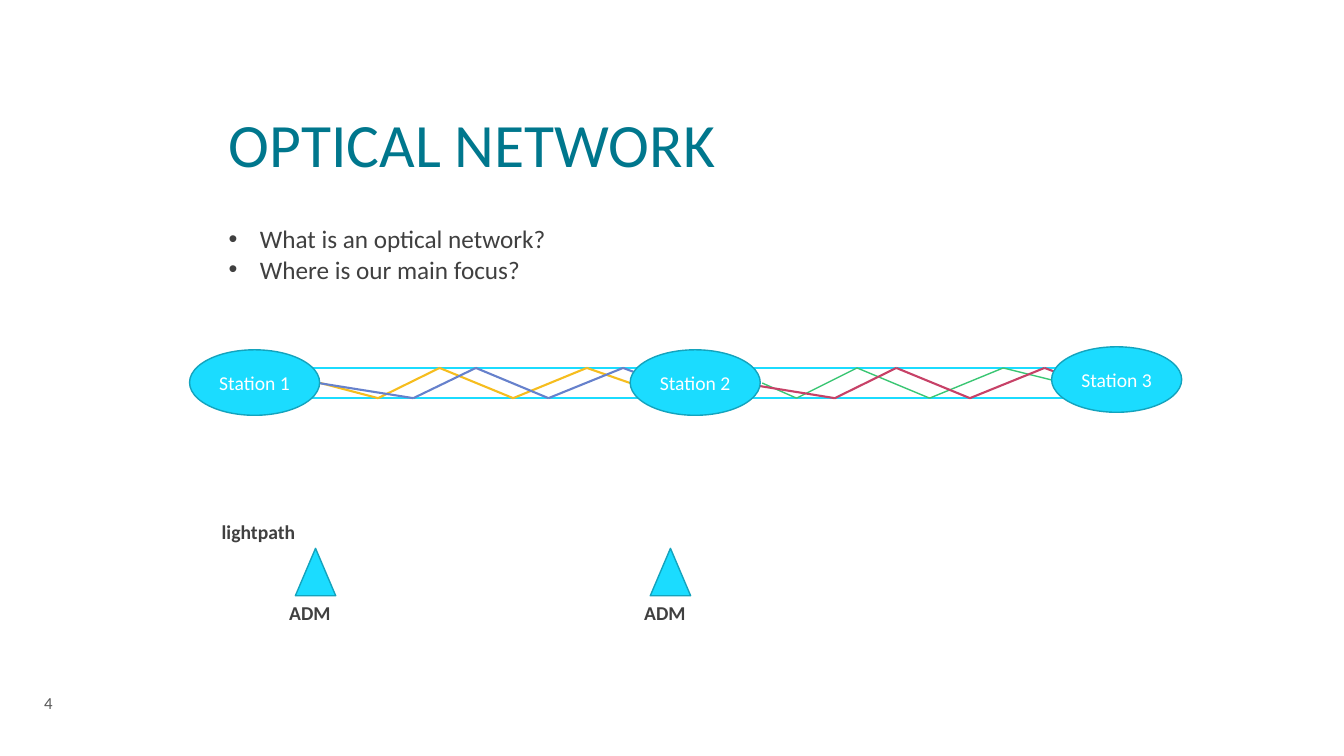
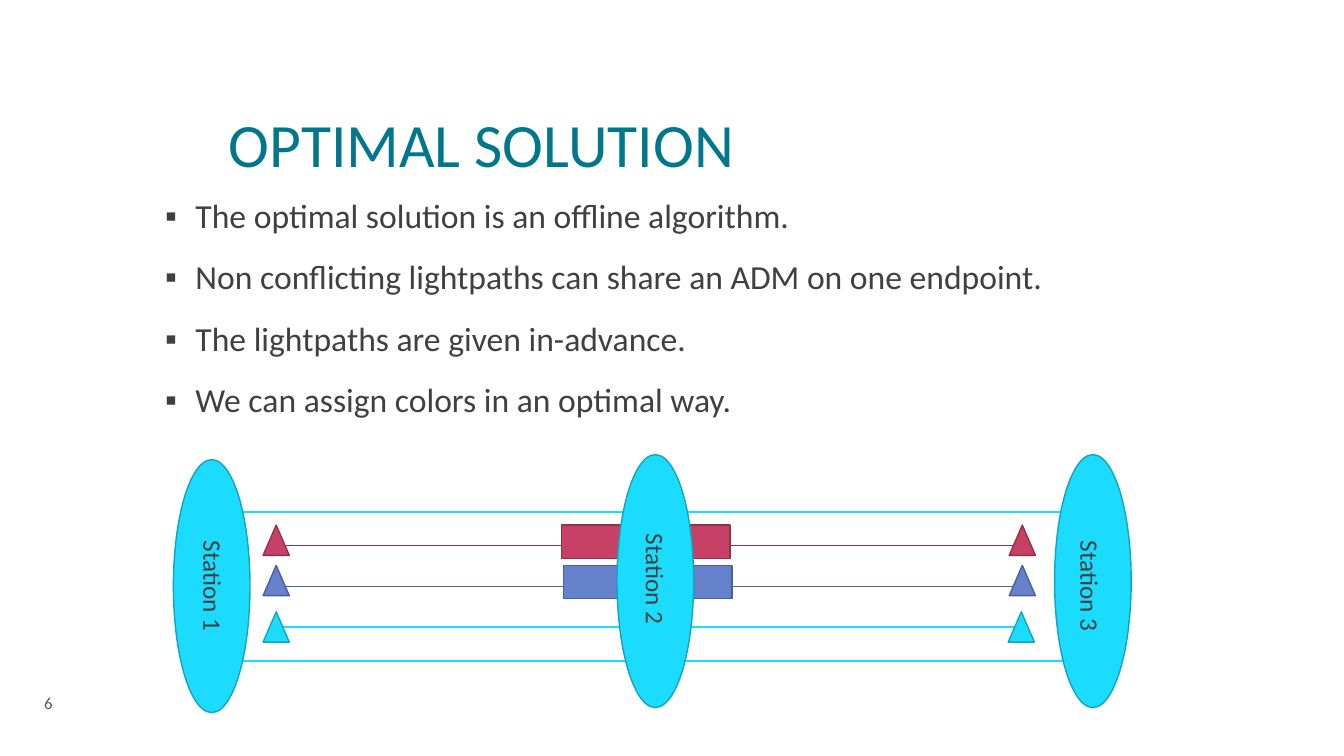
from itertools import pairwise

from lxml.etree import SubElement
from pptx import Presentation
from pptx.dml.color import RGBColor
from pptx.enum.shapes import MSO_CONNECTOR, MSO_SHAPE
from pptx.enum.text import MSO_ANCHOR, PP_ALIGN
from pptx.oxml.ns import qn
from pptx.util import Inches, Pt

FONT = "Calibri"
COLORS = {
    "title": "00778D", "text": "404040", "number": "595959", "white": "FFFFFF",
    "cyan": "1BDCFF", "cyan_dark": "14A3BD", "gold": "F6BD1E", "green": "3AC673",
    "blue": "6681CC", "blue_dark": "4B5F97", "red": "C74167", "red_dark": "93304C",
}

NETWORK = {
    "title": "OPTICAL NETWORK",
    "number": "4",
    "questions": ["What is an optical network?", "Where is our main focus?"],
    "fibers": [(3.05, 3.37), (7.36, 3.19)],
    "waves": [
        ("gold", 1.5, (3.18, 3.75, 4.36, 5.09, 5.82, 6.25), 3.8),
        ("blue", 1.5, (3.16, 4.1, 4.72, 5.44, 6.18, 6.58), 3.8),
        ("green", 1, (7.56, 7.9, 8.5, 9.22, 9.95, 10.43), 3.77),
        ("red", 1.5, (7.35, 8.28, 8.89, 9.62, 10.36, 10.76), 3.8),
    ],
    "stations": [("Station 1", 1.88, 3.47), ("Station 2", 6.25, 3.47), ("Station 3", 10.43, 3.44)],
    "adms": [2.93, 6.45],
}
WAVE_START, WAVE_TOP, WAVE_BOTTOM = 3.8, 3.65, 3.95

SOLUTION = {
    "title": "OPTIMAL SOLUTION",
    "number": "6",
    "points": [
        "The optimal solution is an offline algorithm.",
        "Non conflicting lightpaths can share an ADM on one endpoint.",
        "The lightpaths are given in-advance.",
        "We can assign colors in an optimal way.",
    ],
    "fibers": [2.24, 6.6],
    "lightpaths": [
        ("red", "red_dark", 1, 5.21, 5.41, 10.01, 5.57),
        ("blue", "blue_dark", 1, 5.61, 5.82, 10.01, 5.59),
        ("cyan", "cyan", 1.5, 6.07, 6.22, 10, None),
    ],
    "stations": [
        ("Station 1", 1.72, 4.56, 1.56, 5.62),
        ("Station 2", 6.12, 4.51, 5.95, 5.55),
        ("Station 3", 10.46, 4.51, 10.26, 5.62),
    ],
}


def rgb(name):
    return RGBColor.from_string(COLORS[name])


def add_run(p, text, size, color, bold=False):
    r = p.add_run()
    r.text = text
    r.font.name = FONT
    r.font.size = Pt(size)
    r.font.bold = bold
    r.font.color.rgb = rgb(color)


def add_text(s, box, lines, size, color="text", bold=False, anchor=MSO_ANCHOR.TOP,
             spacing=None, before=0, bullet=None, indent=0.3, rotation=0):
    sp = s.shapes.add_textbox(*map(Inches, box))
    sp.rotation = rotation
    tf = sp.text_frame
    tf.word_wrap = True
    tf.vertical_anchor = anchor
    for i, line in enumerate(lines):
        p = tf.paragraphs[0] if i == 0 else tf.add_paragraph()
        if spacing:
            p.line_spacing = spacing
        if i:
            p.space_before = Pt(before)
        if bullet:
            pPr = p._p.get_or_add_pPr()
            pPr.set("marL", str(Inches(indent)))
            pPr.set("indent", str(-Inches(indent)))
            SubElement(pPr, qn("a:buFont")).set("typeface", "Arial")
            SubElement(pPr, qn("a:buChar")).set("char", bullet)
        add_run(p, line, size, color, bold)
    return sp


def add_box(s, kind, box, fill, line, text=None):
    sp = s.shapes.add_shape(kind, *map(Inches, box))
    sp.shadow.inherit = False
    sp.fill.solid()
    sp.fill.fore_color.rgb = rgb(fill)
    sp.line.color.rgb = rgb(line)
    sp.line.width = Pt(1)
    if text:
        tf = sp.text_frame
        tf.vertical_anchor = MSO_ANCHOR.MIDDLE
        p = tf.paragraphs[0]
        p.alignment = PP_ALIGN.CENTER
        add_run(p, text, 14, "white")


def add_line(s, start, end, color, width):
    c = s.shapes.add_connector(MSO_CONNECTOR.STRAIGHT, *map(Inches, (*start, *end)))
    c.line.color.rgb = rgb(color)
    c.line.width = Pt(width)
    SubElement(c._element.spPr, qn("a:effectLst"))


def add_slide(prs, content):
    s = prs.slides.add_slide(prs.slide_layouts[6])
    add_text(s, (2.17, 0.42, 10.25, 1.42), [content["title"]], 44, "title",
             anchor=MSO_ANCHOR.BOTTOM, spacing=0.85)
    add_text(s, (0.34, 6.86, 0.79, 0.22), [content["number"]], 12, "number",
             anchor=MSO_ANCHOR.MIDDLE)
    return s


def build_network(prs):
    s = add_slide(prs, NETWORK)
    for x, width in NETWORK["fibers"]:
        add_box(s, MSO_SHAPE.RECTANGLE, (x, WAVE_TOP, width, WAVE_BOTTOM - WAVE_TOP), "white", "cyan")
    for color, width, xs, end in NETWORK["waves"]:
        ys = (WAVE_START, *(WAVE_BOTTOM, WAVE_TOP) * 2, end)
        for a, b in pairwise(zip(xs, ys)):
            add_line(s, a, b, color, width)
    for name, x, y in NETWORK["stations"]:
        add_box(s, MSO_SHAPE.OVAL, (x, y, 1.29, 0.65), "cyan", "cyan_dark", name)
    add_text(s, (2.17, 2.17, 9.08, 0.7), NETWORK["questions"], 18, bullet="•", indent=0.31)
    add_text(s, (2.1, 5.11, 1.42, 0.34), ["lightpath"], 14, bold=True)
    for x in NETWORK["adms"]:
        add_box(s, MSO_SHAPE.ISOSCELES_TRIANGLE, (x, 5.44, 0.4, 0.47), "cyan", "cyan_dark")
        add_text(s, (x - 0.16, 5.91, 0.71, 0.34), ["ADM"], 14, bold=True)


def build_solution(prs):
    s = add_slide(prs, SOLUTION)
    add_text(s, (1.54, 1.93, 10.25, 2.3), SOLUTION["points"], 24,
             spacing=0.9, before=18, bullet="▪")
    for x in SOLUTION["fibers"]:
        add_box(s, MSO_SHAPE.RECTANGLE, (x, 5.08, 4.3, 1.48), "white", "cyan")
    for fill, line, width, top, line_y, right, shared_x in SOLUTION["lightpaths"]:
        edge = "cyan_dark" if fill == "cyan" else line
        add_line(s, (2.74, line_y), (10.07, line_y), line, width)
        for x in (2.61, right):
            add_box(s, MSO_SHAPE.ISOSCELES_TRIANGLE, (x, top, 0.26, 0.3), fill, edge)
        if shared_x:
            add_box(s, MSO_SHAPE.RECTANGLE, (shared_x, top, 1.67, 0.33), fill, edge)
    for name, x, y, label_x, label_y in SOLUTION["stations"]:
        add_box(s, MSO_SHAPE.OVAL, (x, y, 0.76, 2.51), "cyan", "cyan_dark")
        add_text(s, (label_x, label_y, 1.11, 0.4), [name], 18, rotation=90)


def main():
    prs = Presentation()
    prs.slide_width = Inches(13.33)
    prs.slide_height = Inches(7.5)
    build_network(prs)
    build_solution(prs)
    prs.save("out.pptx")


if __name__ == "__main__":
    main()
